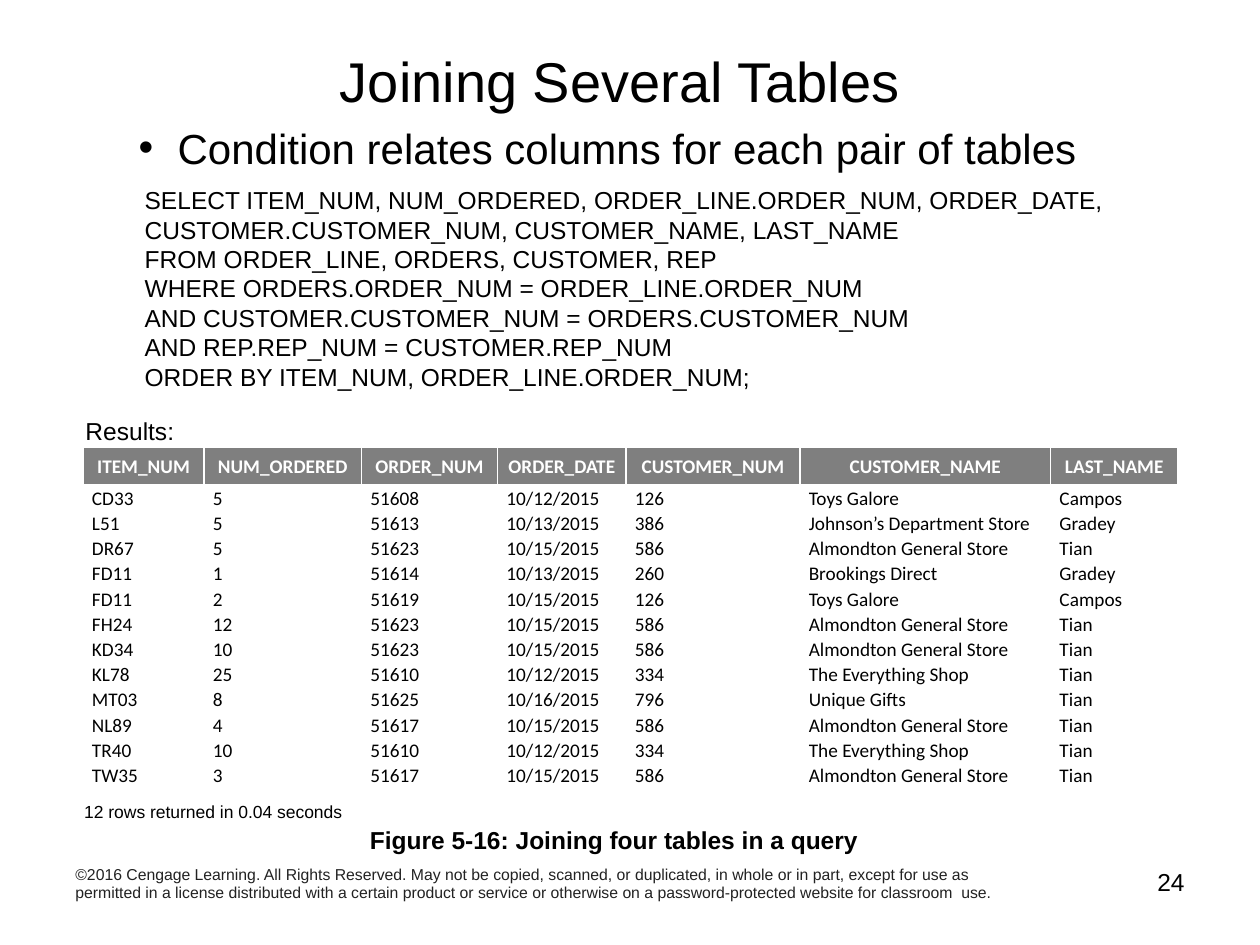
from pptx import Presentation
from pptx.dml.color import RGBColor
from pptx.enum.text import MSO_ANCHOR, MSO_AUTO_SIZE, PP_ALIGN
from pptx.util import Inches, Pt

LEFT, CENTER, RIGHT = PP_ALIGN.LEFT, PP_ALIGN.CENTER, PP_ALIGN.RIGHT
MIDDLE, TOP = MSO_ANCHOR.MIDDLE, MSO_ANCHOR.TOP

THEME = {
    "font": "Arial", "table_font": "Calibri",
    "ink": "000000", "legal": "222222", "white": "FFFFFF", "header": "7F7F7F",
    "title": 32, "bullet": 24, "text": 14, "cell": 11, "status": 10, "small": 9,
}

TITLE = "Joining Several Tables"
BULLET = "Condition relates columns for each pair of tables"
QUERY = [
    "SELECT ITEM_NUM, NUM_ORDERED, ORDER_LINE.ORDER_NUM, ORDER_DATE, "
    "CUSTOMER.CUSTOMER_NUM, CUSTOMER_NAME, LAST_NAME",
    "FROM ORDER_LINE, ORDERS, CUSTOMER, REP",
    "WHERE ORDERS.ORDER_NUM = ORDER_LINE.ORDER_NUM",
    "AND CUSTOMER.CUSTOMER_NUM = ORDERS.CUSTOMER_NUM",
    "AND REP.REP_NUM = CUSTOMER.REP_NUM",
    "ORDER BY ITEM_NUM, ORDER_LINE.ORDER_NUM;",
]
COPYRIGHT = (
    "©2016 Cengage Learning. All Rights Reserved. May not be copied, scanned, or "
    "duplicated, in whole or in part, except for use as permitted in a license "
    "distributed with a certain product or service or otherwise on a "
    "password-protected website for classroom  use."
)
TEXTS = [
    (COPYRIGHT, (0.5, 6.81, 7.58, 0.52), {"size": "small", "color": "legal"}),
    ("24", (8.33, 6.83, 1.17, 0.52), {"align": RIGHT}),
    ("Figure 5-16: Joining four tables in a query", (1, 6.5, 7.75, 0.34),
     {"align": CENTER, "bold": True}),
    ("Results:", (0.58, 3.25, 0.91, 0.34), {"wrap": False}),
    ("12 rows returned in 0.04 seconds", (0.57, 6.31, 2.26, 0.27),
     {"size": "status", "wrap": False}),
    (QUERY, (1.05, 1.42, 8.03, 1.75), {}),
]

COLUMNS = [
    ("ITEM_NUM", 0.96), ("NUM_ORDERED", 1.25), ("ORDER_NUM", 1.08),
    ("ORDER_DATE", 1.02), ("CUSTOMER_NUM", 1.38), ("CUSTOMER_NAME", 1.99),
    ("LAST_NAME", 1.01),
]
RESULTS = [
    ("CD33", "5", "51608", "10/12/2015", "126", "Toys Galore", "Campos"),
    ("L51", "5", "51613", "10/13/2015", "386", "Johnson’s Department Store", "Gradey"),
    ("DR67", "5", "51623", "10/15/2015", "586", "Almondton General Store", "Tian"),
    ("FD11", "1", "51614", "10/13/2015", "260", "Brookings Direct", "Gradey"),
    ("FD11", "2", "51619", "10/15/2015", "126", "Toys Galore", "Campos"),
    ("FH24", "12", "51623", "10/15/2015", "586", "Almondton General Store", "Tian"),
    ("KD34", "10", "51623", "10/15/2015", "586", "Almondton General Store", "Tian"),
    ("KL78", "25", "51610", "10/12/2015", "334", "The Everything Shop", "Tian"),
    ("MT03", "8", "51625", "10/16/2015", "796", "Unique Gifts", "Tian"),
    ("NL89", "4", "51617", "10/15/2015", "586", "Almondton General Store", "Tian"),
    ("TR40", "10", "51610", "10/12/2015", "334", "The Everything Shop", "Tian"),
    ("TW35", "3", "51617", "10/15/2015", "586", "Almondton General Store", "Tian"),
]
TABLE_LEFT, TABLE_TOP = 0.66, 3.55
HEADER_HEIGHT, ROW_HEIGHT = 0.3, 0.2
CELL_FORMAT = {
    "margin_left": Inches(0.07), "margin_right": Inches(0.07),
    "margin_top": 0, "margin_bottom": 0, "vertical_anchor": MIDDLE,
}


def write(tf, lines, size="text", color="ink", font="font", bold=False,
          align=LEFT, spacing=1.0):
    for i, line in enumerate(lines):
        p = tf.paragraphs[0] if i == 0 else tf.add_paragraph()
        p.alignment, p.line_spacing = align, spacing
        p.space_before = Pt(0)
        r = p.add_run()
        r.text = line
        r.font.name, r.font.size, r.font.bold = THEME[font], Pt(THEME[size]), bold
        r.font.color.rgb = RGBColor.from_string(THEME[color])


def place(sp, box):
    sp.left, sp.top, sp.width, sp.height = map(Inches, box)


def add_text(s, content, box, wrap=True, **style):
    tf = s.shapes.add_textbox(*map(Inches, box)).text_frame
    tf.word_wrap = wrap
    write(tf, [content] if isinstance(content, str) else content, **style)


def add_results(s):
    rows = [[name for name, _ in COLUMNS]] + RESULTS
    widths = [width for _, width in COLUMNS]
    height = HEADER_HEIGHT + ROW_HEIGHT * len(RESULTS)
    table = s.shapes.add_table(
        len(rows), len(widths),
        *map(Inches, (TABLE_LEFT, TABLE_TOP, sum(widths), height))).table
    table.first_row = table.horz_banding = False
    for column, width in zip(table.columns, widths):
        column.width = Inches(width)
    for i, values in enumerate(rows):
        header = i == 0
        table.rows[i].height = Inches(HEADER_HEIGHT if header else ROW_HEIGHT)
        for j, value in enumerate(values):
            cell = table.cell(i, j)
            for name, setting in CELL_FORMAT.items():
                setattr(cell, name, setting)
            cell.fill.solid()
            cell.fill.fore_color.rgb = RGBColor.from_string(
                THEME["header" if header else "white"])
            write(cell.text_frame, [value], size="cell", font="table_font",
                  color="white" if header else "ink", bold=header,
                  align=CENTER if header else LEFT, spacing=1.07)


def main():
    prs = Presentation()
    prs.slide_width, prs.slide_height = Inches(10), Inches(7.5)
    s = prs.slides.add_slide(prs.slide_layouts[1])
    title, body = s.shapes.title, s.placeholders[1]
    place(title, (0.42, 0.19, 9, 0.89))
    place(body, (1, 0.92, 7.89, 0.5))
    for sp, anchor in ((title, MIDDLE), (body, TOP)):
        sp.text_frame.vertical_anchor = anchor
        sp.text_frame.auto_size = MSO_AUTO_SIZE.NONE
    write(title.text_frame, [TITLE], size="title", align=CENTER)
    pPr = body.text_frame.paragraphs[0]._p.get_or_add_pPr()
    pPr.set("marL", str(Inches(0.31)))
    pPr.set("indent", str(-Inches(0.31)))
    write(body.text_frame, [BULLET], size="bullet")
    for content, box, style in TEXTS:
        add_text(s, content, box, **style)
    add_results(s)
    prs.save("out.pptx")


if __name__ == "__main__":
    main()
